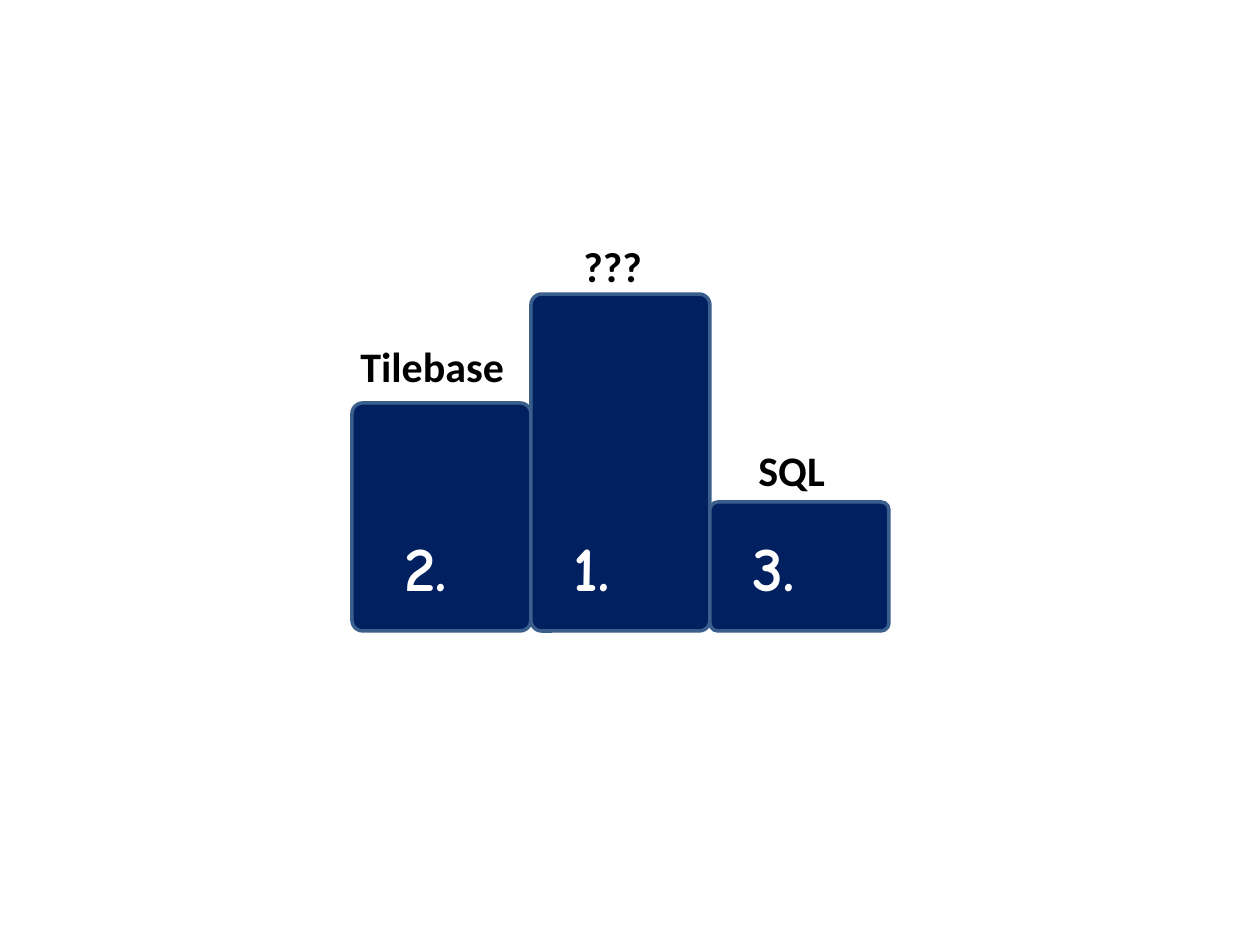
import pptx
import pptx.util
import pptx.dml.color
import pptx.enum.shapes
import pptx.enum.text

PIXEL = 914400 / 126
NAVY = pptx.dml.color.RGBColor(0x00, 0x20, 0x60)
STEEL = pptx.dml.color.RGBColor(0x3A, 0x5F, 0x8C)
BLACK = pptx.dml.color.RGBColor(0, 0, 0)
WHITE = pptx.dml.color.RGBColor(255, 255, 255)

NAME_FORMAT = {"name": "Calibri", "size": pptx.util.Pt(24), "bold": True}
RANK_FORMAT = {"name": "Comic Neue", "size": pptx.util.Pt(36), "bold": True}


def add_label(page, text, left, top, width, height, font_format, color):
    box = page.shapes.add_textbox(*(int(n * PIXEL) for n in (left, top, width, height)))
    frame = box.text_frame
    frame.word_wrap = False
    frame.auto_size = pptx.enum.text.MSO_AUTO_SIZE.SHAPE_TO_FIT_TEXT
    span = frame.paragraphs[0].add_run()
    span.text = text
    for key, value in font_format.items():
        setattr(span.font, key, value)
    span.font.color.rgb = color


deck = pptx.Presentation()
deck.slide_width = pptx.util.Inches(10)
deck.slide_height = pptx.util.Inches(7.5)
page = deck.slides.add_slide(deck.slide_layouts[6])

# Podium steps: top, name, name left, name top, name width, rank, rank left
PODIUM_LEFT, PODIUM_BOTTOM, STEP_WIDTH = 352, 631, 179
steps = [
    (403, "Tilebase", 348, 334, 174, "2.", 392),
    (294, "???", 571, 234, 84, "1.", 561),
    (502, "SQL", 746, 438, 92, "3.", 740),
]
for index, (top, *_) in enumerate(steps):
    step = page.shapes.add_shape(
        pptx.enum.shapes.MSO_SHAPE.ROUNDED_RECTANGLE,
        int((PODIUM_LEFT + index * STEP_WIDTH) * PIXEL), int(top * PIXEL),
        int(STEP_WIDTH * PIXEL), int((PODIUM_BOTTOM - top) * PIXEL))
    step.adjustments[0] = 0.06
    step.shadow.inherit = False
    step.fill.solid()
    step.fill.fore_color.rgb = NAVY
    step.line.color.rgb = STEEL
    step.line.width = pptx.util.Pt(2)

# Names above the steps, ranks on them
for _, name, name_left, name_top, name_width, rank, rank_left in steps:
    add_label(page, name, name_left, name_top, name_width, 63, NAME_FORMAT, BLACK)
    add_label(page, rank, rank_left, 522, 89, 89, RANK_FORMAT, WHITE)

deck.save("out.pptx")
